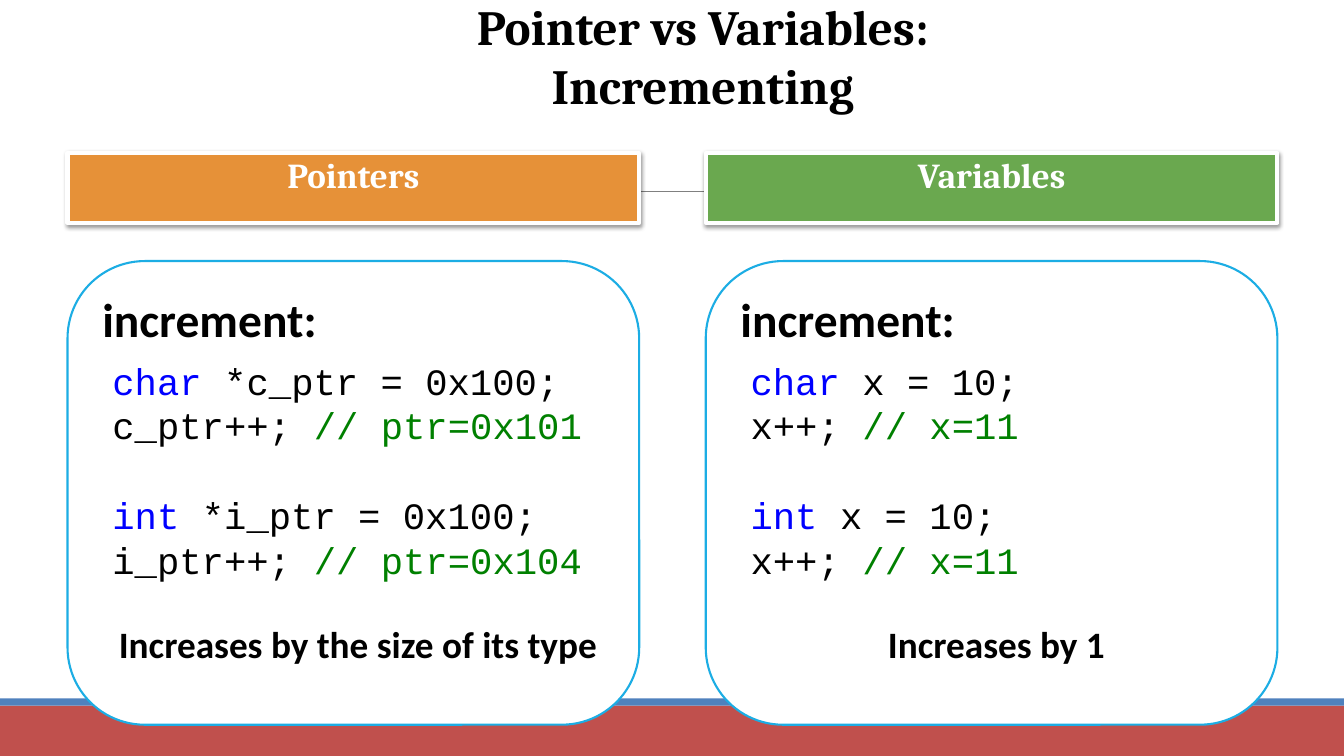
import pptx
import pptx.util
import pptx.dml.color
import pptx.enum.shapes
import pptx.enum.text
import pptx.oxml
import pptx.oxml.ns

Inches = pptx.util.Inches
Pt = pptx.util.Pt
RGBColor = pptx.dml.color.RGBColor
SHAPE = pptx.enum.shapes.MSO_SHAPE
CENTER = pptx.enum.text.PP_ALIGN.CENTER
TOP = pptx.enum.text.MSO_ANCHOR.TOP
MIDDLE = pptx.enum.text.MSO_ANCHOR.MIDDLE

BLACK = RGBColor(0x00, 0x00, 0x00)
WHITE = RGBColor(0xFF, 0xFF, 0xFF)
RED = RGBColor(0xC0, 0x50, 0x4D)
BLUE = RGBColor(0x4F, 0x81, 0xBD)
GRAY = RGBColor(0x80, 0x80, 0x80)
ORANGE = RGBColor(0xE6, 0x91, 0x38)
GREEN = RGBColor(0x6A, 0xA8, 0x4F)
CYAN = RGBColor(0x1C, 0xAD, 0xE4)
KEYWORD = RGBColor(0x00, 0x00, 0xFF)
COMMENT = RGBColor(0x00, 0x80, 0x00)

COLUMN_WIDTH = 5.67
SHADOW = (
    f'<a:effectLst {pptx.oxml.ns.nsdecls("a")}>'
    '<a:outerShdw blurRad="39370" dist="20320" dir="5400000" rotWithShape="0">'
    '<a:srgbClr val="000000"><a:alpha val="38000"/></a:srgbClr>'
    '</a:outerShdw></a:effectLst>'
)
NO_EFFECT = f'<a:effectLst {pptx.oxml.ns.nsdecls("a")}/>'


class ComparisonSlide:
    heading_font = "Cambria"
    body_font = "Calibri"
    code_font = "Courier New"
    code_size = 26.6
    code_pitch = 32

    def __init__(self, slide):
        self.shapes = slide.shapes

    def box(self, kind, left, top, width, height, fill, line=None, weight=0):
        shape = self.shapes.add_shape(
            kind, Inches(left), Inches(top), Inches(width), Inches(height))
        shape.shadow.inherit = False
        shape.fill.solid()
        shape.fill.fore_color.rgb = fill
        if line is None:
            shape.line.fill.background()
        else:
            shape.line.color.rgb = line
            shape.line.width = Pt(weight)
        return shape

    def rule(self, x1, x2, y):
        rule = self.shapes.add_connector(
            pptx.enum.shapes.MSO_CONNECTOR.STRAIGHT,
            Inches(x1), Inches(y), Inches(x2), Inches(y))
        rule.line.color.rgb = GRAY
        rule.line.width = Pt(0.5)
        rule._element.spPr.append(pptx.oxml.parse_xml(NO_EFFECT))

    def frame(self, shape, anchor, side, edge):
        frame = shape.text_frame
        frame.word_wrap = True
        frame.vertical_anchor = anchor
        frame.margin_left = frame.margin_right = Inches(side)
        frame.margin_top = frame.margin_bottom = Inches(edge)
        return frame

    def style(self, paragraph, font, size, color=None, bold=False,
              align=None, indent=0):
        paragraph.alignment = align or pptx.enum.text.PP_ALIGN.LEFT
        paragraph.font.name = font
        paragraph.font.size = Pt(size)
        paragraph.font.bold = bold
        if color is not None:
            paragraph.font.color.rgb = color
        if indent:
            paragraph._p.get_or_add_pPr().set("marL", str(Inches(indent)))

    def title(self, lines):
        title = self.shapes.add_textbox(
            Inches(0.67), Inches(-0.04), Inches(12), Inches(1.18))
        frame = self.frame(title, MIDDLE, 0, 0)
        frame.text = "\n".join(lines)
        for line in frame.paragraphs:
            self.style(line, self.heading_font, 35.1, BLACK, True, CENTER, 0.6)

    def header(self, left, text, fill):
        header = self.box(SHAPE.RECTANGLE, left, 1.52, COLUMN_WIDTH, 0.69,
                          fill, WHITE, 3)
        properties = header._element.spPr
        properties.remove(properties.find(pptx.oxml.ns.qn("a:effectLst")))
        properties.append(pptx.oxml.parse_xml(SHADOW))
        label = self.frame(header, TOP, 0.1, 0.05).paragraphs[0]
        label.text = text
        label.line_spacing = 0.9
        label.space_before = Pt(4)
        self.style(label, self.heading_font, 25, WHITE, True, CENTER)

    def card(self, left, code, summary):
        card = self.box(SHAPE.ROUNDED_RECTANGLE, left, 2.59, COLUMN_WIDTH, 4.6,
                        WHITE, CYAN, 1.5)
        frame = self.frame(card, TOP, 0.12, 0.06)

        heading = frame.paragraphs[0]
        heading.text = "increment:"
        heading.space_after = Pt(8)
        self.style(heading, self.body_font, 33.9, BLACK, True)

        for number, pieces in enumerate(code):
            line = frame.add_paragraph()
            self.style(line, self.code_font, self.code_size, indent=0.1)
            line.line_spacing = Pt(self.code_pitch)
            if number == 2:
                line.space_before = Pt(self.code_pitch)
            for text, color in pieces:
                run = line.add_run()
                run.text = text
                run.font.color.rgb = color

        closing = frame.add_paragraph()
        closing.text = summary
        closing.line_spacing = Pt(self.code_pitch)
        closing.space_before = Pt(28)
        self.style(closing, self.body_font, self.code_size, BLACK, True,
                   CENTER, 0.1)


def code_pair(keyword, declaration, step, comment):
    return [[(keyword, KEYWORD), (declaration, BLACK)],
            [(step, BLACK), (comment, COMMENT)]]


def main():
    deck = pptx.Presentation()
    deck.slide_width = Inches(13.33)
    deck.slide_height = Inches(7.5)
    page = ComparisonSlide(deck.slides.add_slide(deck.slide_layouts[6]))

    # Footer bands and the rule behind the headers
    page.box(SHAPE.RECTANGLE, 0, 7, 13.33, 0.5, RED)
    page.box(SHAPE.RECTANGLE, 0, 6.93, 13.33, 0.07, BLUE)
    page.rule(1.31, 12.21, 1.9)

    # Title
    page.title(["Pointer vs Variables:", "Incrementing"])

    # Comparison columns
    pointer_code = (
        code_pair("char", " *c_ptr = 0x100;", "c_ptr++;", " // ptr=0x101")
        + code_pair("int", " *i_ptr = 0x100;", "i_ptr++;", " // ptr=0x104"))
    variable_code = (
        code_pair("char", " x = 10;", "x++;", " // x=11")
        + code_pair("int", " x = 10;", "x++;", " // x=11"))
    columns = [
        (0.67, "Pointers", ORANGE, pointer_code,
         "Increases by the size of its type"),
        (7, "Variables", GREEN, variable_code, "Increases by 1"),
    ]
    for left, name, fill, code, summary in columns:
        page.header(left, name, fill)
        page.card(left, code, summary)

    deck.save("out.pptx")


if __name__ == "__main__":
    main()
